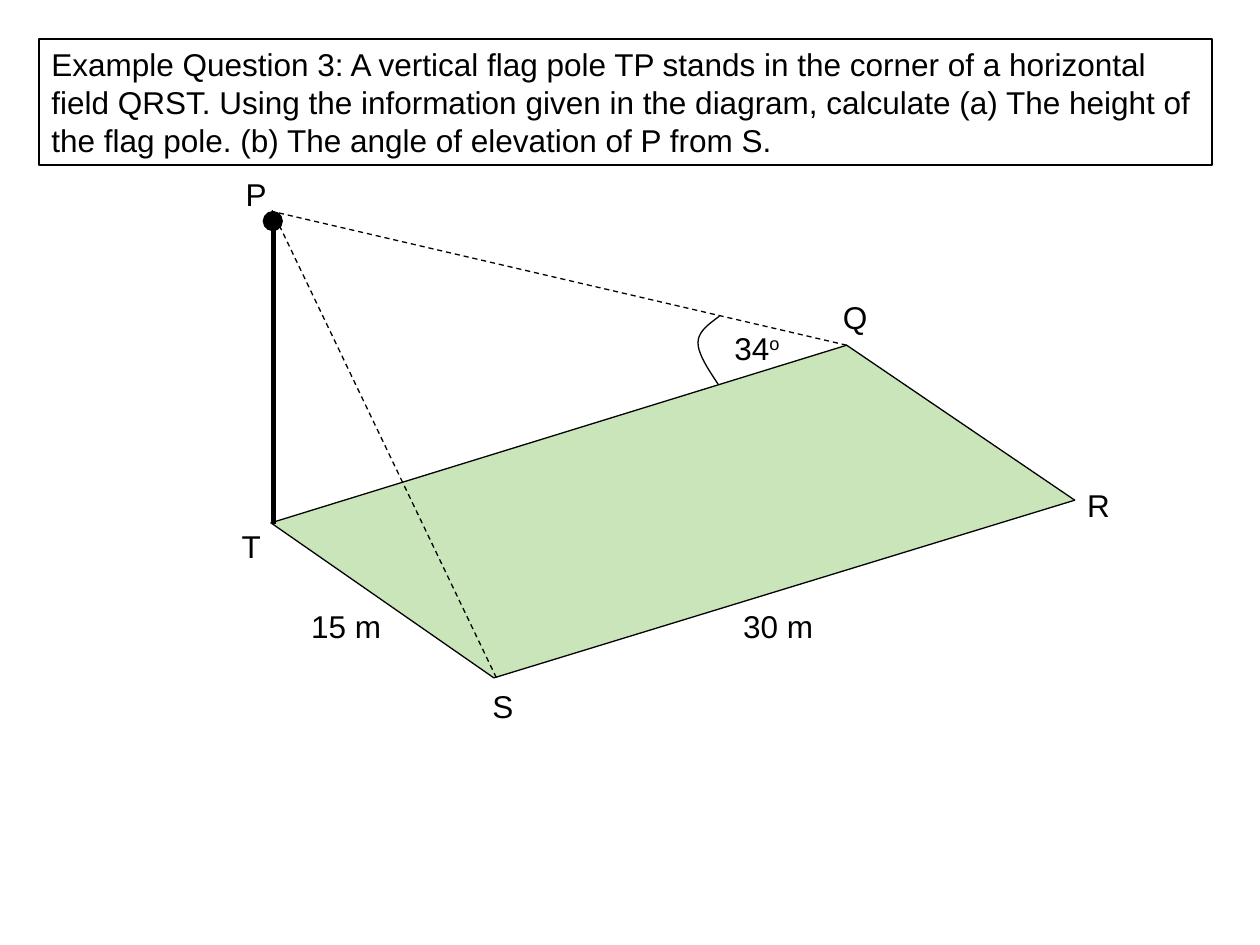
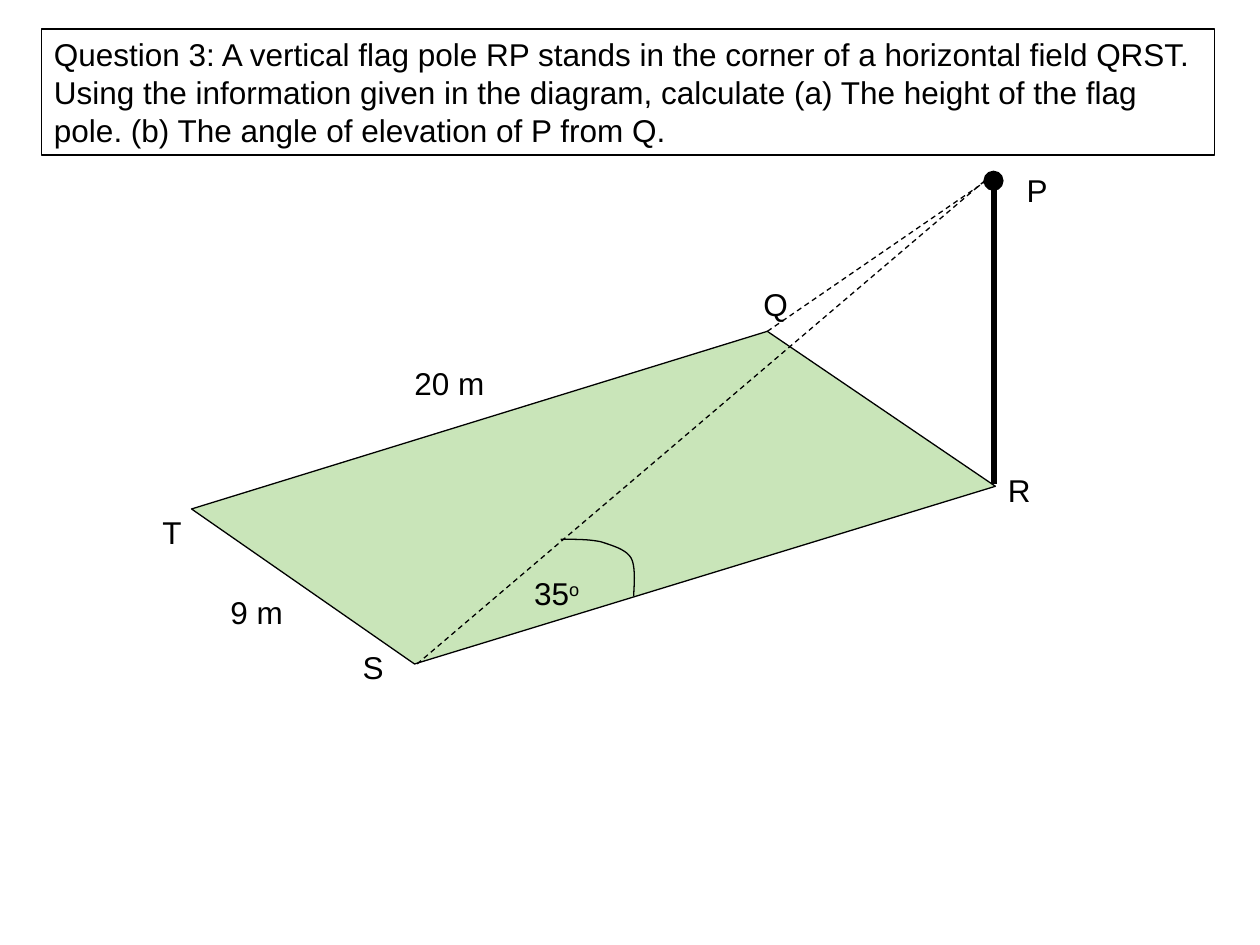
"""Builds two trigonometry question slides, each showing a flag pole in the corner of a field."""
import lxml.etree
import pptx
import pptx.dml.color
import pptx.enum.dml
import pptx.enum.shapes
import pptx.enum.text
import pptx.oxml.ns
import pptx.util

PX = 9144
COLOURS = {
    name: pptx.dml.color.RGBColor.from_string(value)
    for name, value in {"ink": "000000", "grass": "C9E5B9"}.items()
}
FIELD_OFFSETS = [(0, 0), (457, -141), (638, -18), (177, 123)]
CURVE_STEPS = 10

QUESTIONS = [
    {
        "title": "Example Question 3: A vertical flag pole TP stands in the corner of a "
                 "horizontal field QRST. Using the information given in the diagram, calculate "
                 "(a) The height of the flag pole. (b) The angle of elevation of P from S.",
        "title_corner": (31, 31),
        "field_corner": (215, 415),
        "ball": (209, 168),
        "pole": ((217, 416), (217, 181)),
        "sight_lines": [((672, 274), (217, 168)), ((394, 538), (216, 167))],
        "arc": [(571, 251), (563, 257), (554, 263), (554, 272),
                (554, 281), (562, 293), (570, 305)],
        "labels": [("Q", 659, 232), ("30 m", 580, 477), ("34^o", 573, 256), ("15 m", 237, 477),
                   ("T", 182, 413), ("R", 853, 381), ("P", 185, 134), ("S", 381, 540)],
    },
    {
        "title": "Question 3: A vertical flag pole RP stands in the corner of a "
                 "horizontal field QRST. Using the information given in the diagram, calculate "
                 "(a) The height of the flag pole. (b) The angle of elevation of P from Q.",
        "title_corner": (33, 23),
        "field_corner": (152, 404),
        "ball": (781, 136),
        "pole": ((789, 384), (789, 149)),
        "sight_lines": [((609, 263), (788, 140)), ((331, 527), (788, 138))],
        "arc": [(445, 428), (456, 428), (468, 428), (477, 430), (486, 433), (497, 436),
                (501, 443), (505, 450), (503, 468), (503, 473)],
        "labels": [("Q", 596, 221), ("20 m", 319, 284), ("9 m", 173, 466), ("T", 119, 402),
                   ("R", 790, 369), ("P", 805, 131), ("S", 278, 509), ("35^o", 414, 451)],
    },
]


def style_shape(shape, fill=None):
    """Gives a shape a thin ink outline, an optional fill and no shadow."""
    shape.shadow.inherit = False
    shape.line.color.rgb = COLOURS["ink"]
    shape.line.width = pptx.util.Pt(0.75)
    if fill:
        shape.fill.solid()
        shape.fill.fore_color.rgb = COLOURS[fill]
    else:
        shape.fill.background()


def add_outline(slide, points, close, fill=None):
    """Draws straight segments through points given in px."""
    vertices = [(round(x * PX), round(y * PX)) for x, y in points]
    builder = slide.shapes.build_freeform(*vertices[0])
    builder.add_line_segments(vertices[1:], close=close)
    style_shape(builder.convert_to_shape(), fill)


presentation = pptx.Presentation()
presentation.slide_width = pptx.util.Emu(1000 * PX)
presentation.slide_height = pptx.util.Emu(750 * PX)

for question in QUESTIONS:
    slide = presentation.slides.add_slide(presentation.slide_layouts[6])

    corner_x, corner_y = question["field_corner"]
    field = [(corner_x + x, corner_y + y) for x, y in FIELD_OFFSETS]
    add_outline(slide, field, True, "grass")

    ball_x, ball_y = question["ball"]
    ball = slide.shapes.add_shape(
        pptx.enum.shapes.MSO_SHAPE.OVAL, ball_x * PX, ball_y * PX, 15 * PX, 15 * PX)
    style_shape(ball, "ink")

    for start, end in [question["pole"], *question["sight_lines"]]:
        line = slide.shapes.add_connector(
            pptx.enum.shapes.MSO_CONNECTOR.STRAIGHT, *(length * PX for length in start + end))
        line.line.color.rgb = COLOURS["ink"]
        if (start, end) == question["pole"]:
            line.line.width = pptx.util.Pt(3)
        else:
            line.line.width = pptx.util.Pt(0.75)
            line.line.dash_style = pptx.enum.dml.MSO_LINE.DASH
        lxml.etree.SubElement(line._element.spPr, pptx.oxml.ns.qn("a:effectLst"))

    arc = question["arc"]
    arc_points = arc[:1]
    for first in range(0, len(arc) - 1, 3):
        for step in range(1, CURVE_STEPS + 1):
            t = step / CURVE_STEPS
            weights = ((1 - t) ** 3, 3 * t * (1 - t) ** 2, 3 * t ** 2 * (1 - t), t ** 3)
            controls = arc[first:first + 4]
            arc_points.append(tuple(
                sum(weight * control[axis] for weight, control in zip(weights, controls))
                for axis in (0, 1)))
    add_outline(slide, arc_points, False)

    title_x, title_y = question["title_corner"]
    title = slide.shapes.add_shape(
        pptx.enum.shapes.MSO_SHAPE.RECTANGLE, title_x * PX, title_y * PX, 931 * PX, 100 * PX)
    style_shape(title)
    written = [(title, question["title"])]
    for text, left, top in question["labels"]:
        width = 38 if len(text) == 1 else 98
        label = slide.shapes.add_textbox(left * PX, top * PX, width * PX, 40 * PX)
        written.append((label, text))

    for shape, text in written:
        frame = shape.text_frame
        frame.word_wrap = True
        frame.vertical_anchor = pptx.enum.text.MSO_ANCHOR.TOP
        base, _, superscript = text.partition("^")
        frame.text = base
        paragraph = frame.paragraphs[0]
        paragraph.alignment = pptx.enum.text.PP_ALIGN.LEFT
        if superscript:
            run = paragraph.add_run()
            run.text = superscript
            run._r.get_or_add_rPr().set("baseline", "30000")
        for run in paragraph.runs:
            run.font.name = "Arial"
            run.font.size = pptx.util.Pt(18)
            run.font.color.rgb = COLOURS["ink"]

presentation.save("out.pptx")
